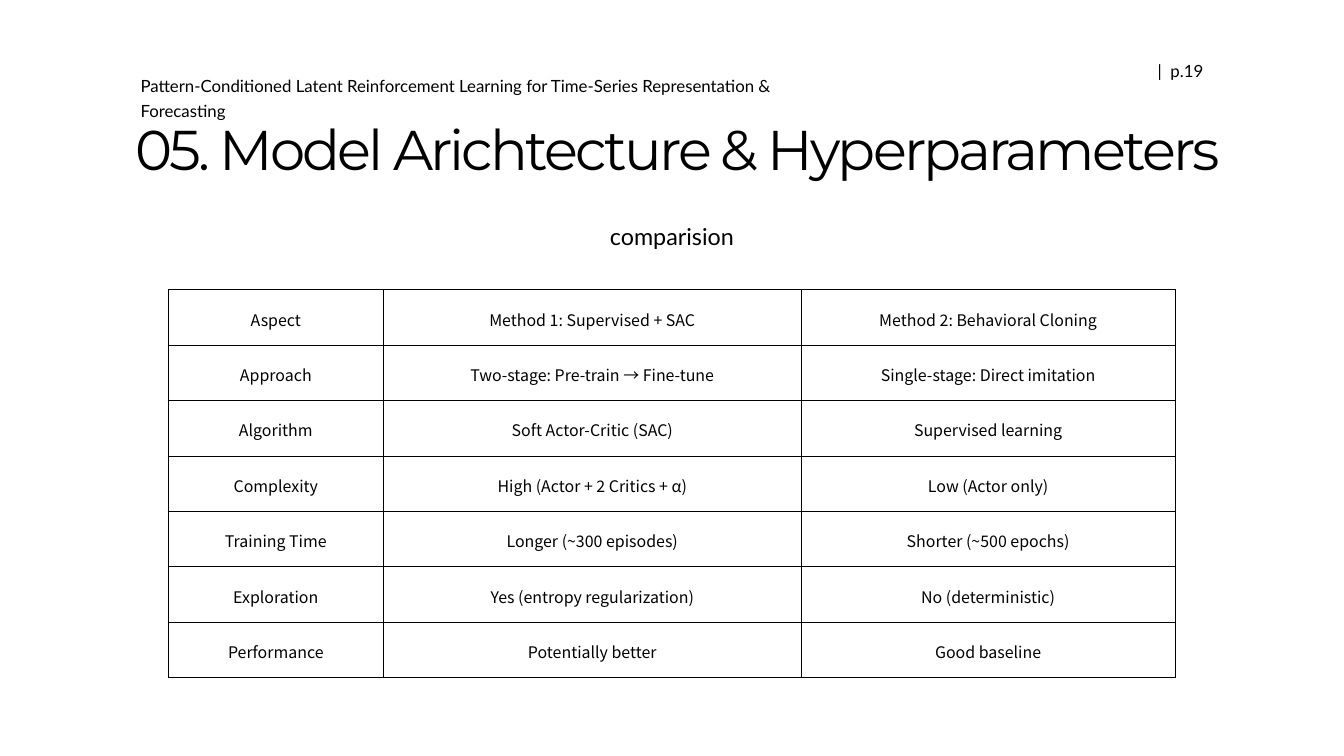
from lxml.etree import SubElement
from pptx import Presentation
from pptx.dml.color import RGBColor
from pptx.enum.text import MSO_ANCHOR, PP_ALIGN
from pptx.oxml.ns import qn
from pptx.util import Inches, Pt

WIDE, HIGH = 26.67, 15
BLACK = RGBColor(0, 0, 0)
WHITE = RGBColor(255, 255, 255)
LEFT = 2.69 / WIDE
COLS = (4.28, 8.28, 7.43)
ROW = 1.1
ROWS = (
    ("Aspect", "Method 1: Supervised + SAC", "Method 2: Behavioral Cloning"),
    ("Approach", "Two-stage: Pre-train → Fine-tune", "Single-stage: Direct imitation"),
    ("Algorithm", "Soft Actor-Critic (SAC)", "Supervised learning"),
    ("Complexity", "High (Actor + 2 Critics + α)", "Low (Actor only)"),
    ("Training Time", "Longer (~300 episodes)", "Shorter (~500 epochs)"),
    ("Exploration", "Yes (entropy regularization)", "No (deterministic)"),
    ("Performance", "Potentially better", "Good baseline"),
)


def add_run(frame, text, font, size, line, align=PP_ALIGN.LEFT, gap=0):
    para = frame.paragraphs[0]
    para.alignment = align
    para.line_spacing = line
    run = para.add_run()
    run.text = text
    run.font.name = font
    run.font.size = Pt(size)
    run.font.color.rgb = BLACK
    props = run._r.get_or_add_rPr()
    SubElement(props, qn("a:ea"), typeface=font)
    if gap:
        props.set("spc", str(gap * 100))


def add_text(slide, area, text, font, size, line, inset=None, **style):
    left, top, width, height = area
    box = slide.shapes.add_textbox(
        Inches(left * WIDE), Inches(top * HIGH),
        Inches(width * WIDE), Inches(height * HIGH))
    frame = box.text_frame
    frame.word_wrap = True
    if inset is not None:
        frame.margin_left = frame.margin_right = frame.margin_bottom = 0
        frame.margin_top = Inches(inset)
    add_run(frame, text, font, size, line, **style)


def add_edges(cell):
    props = cell._tc.get_or_add_tcPr()
    for index, side in enumerate(("lnL", "lnR", "lnT", "lnB")):
        edge = props.makeelement(qn(f"a:{side}"), {"w": str(Pt(1))})
        fill = SubElement(edge, qn("a:solidFill"))
        SubElement(fill, qn("a:srgbClr"), val=str(BLACK))
        props.insert(index, edge)


def add_grid(slide, left, top):
    frame = slide.shapes.add_table(
        len(ROWS), len(COLS), Inches(left * WIDE), Inches(top * HIGH),
        Inches(sum(COLS)), Inches(ROW * len(ROWS)))
    table = frame.table
    table.first_row = table.horz_banding = False
    for col, width in zip(table.columns, COLS):
        col.width = Inches(width)
    for row, words in zip(table.rows, ROWS):
        row.height = Inches(ROW)
        for cell, text in zip(row.cells, words):
            cell.fill.solid()
            cell.fill.fore_color.rgb = WHITE
            cell.vertical_anchor = MSO_ANCHOR.MIDDLE
            add_edges(cell)
            add_run(cell.text_frame, text, "Noto Sans CJK KR", 22.8, 1.16,
                    align=PP_ALIGN.CENTER)


def main():
    deck = Presentation()
    deck.slide_width, deck.slide_height = Inches(WIDE), Inches(HIGH)
    slide = deck.slides.add_slide(deck.slide_layouts[6])
    slide.background.fill.solid()
    slide.background.fill.fore_color.rgb = WHITE
    add_text(slide, (0.833, 0.071, 0.066, 0.028), "|  p.19", "Lato", 24, 1.24,
             align=PP_ALIGN.RIGHT)
    add_text(slide, (LEFT, 0.091, 0.534, 0.06),
             "Pattern-Conditioned Latent Reinforcement Learning for "
             "Time-Series Representation & Forecasting", "Lato", 24, 1.24)
    add_text(slide, (0.307, 0.29, 0.386, 0.049), "comparision", "Lato", 33.3, 1,
             inset=0.05, align=PP_ALIGN.CENTER)
    add_text(slide, (LEFT, 0.152, 0.89, 0.12),
             "05. Model Arichtecture & Hyperparameters", "Montserrat", 80, 0.83,
             inset=0.22, gap=-4)
    add_grid(slide, 0.125, 0.383)
    deck.save("out.pptx")


if __name__ == "__main__":
    main()
